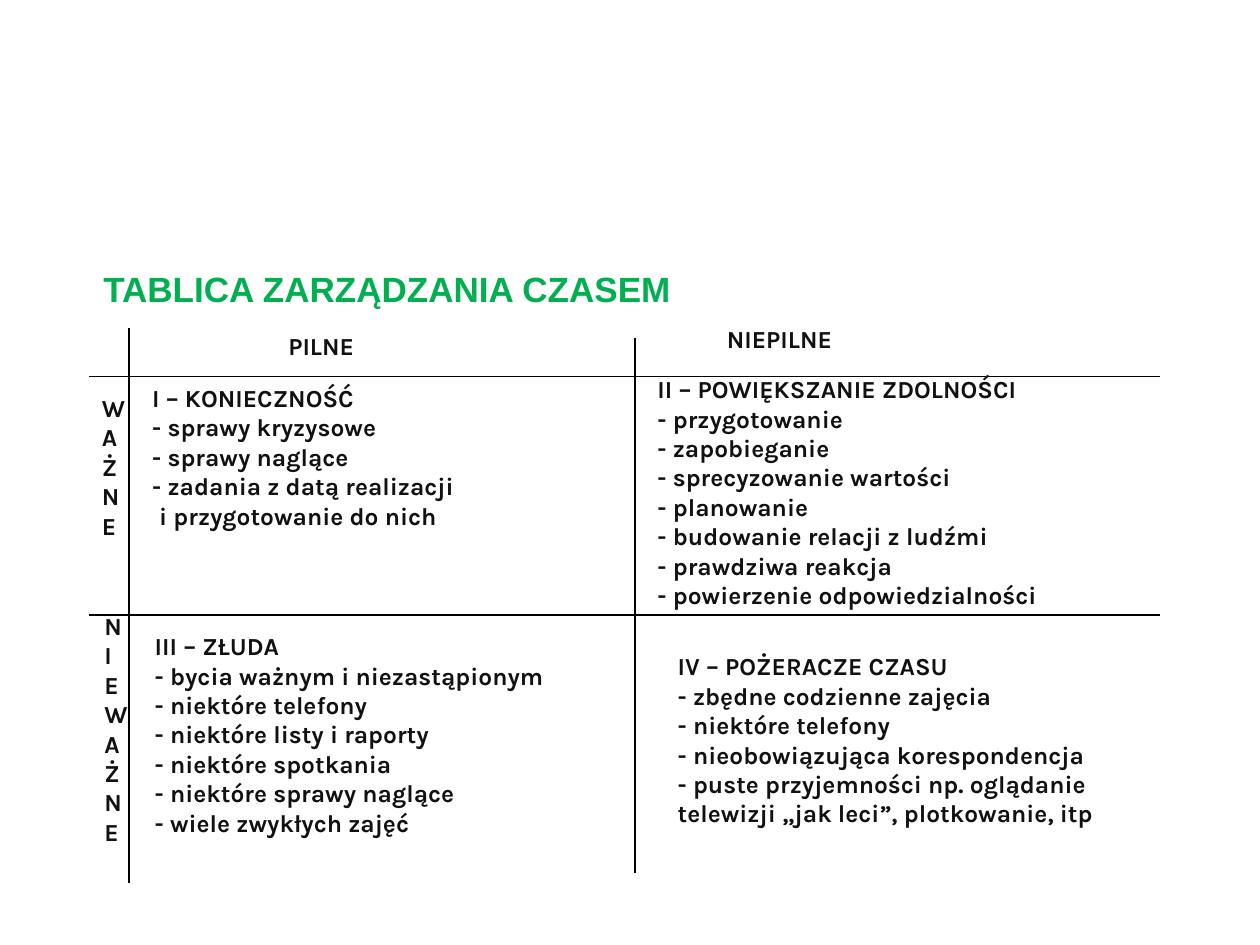
from dataclasses import dataclass

from lxml.etree import SubElement
from pptx import Presentation
from pptx.dml.color import RGBColor
from pptx.enum.shapes import MSO_CONNECTOR as Link
from pptx.enum.text import MSO_ANCHOR as Anchor
from pptx.oxml.ns import qn
from pptx.util import Inches, Pt

WIDTH, HEIGHT = Inches(10), Inches(7.5)
COLS, ROWS = 100, 75
GREEN = RGBColor(0x00, 0xB0, 0x50)
INK = RGBColor(0x11, 0x11, 0x11)
BLACK = RGBColor(0x00, 0x00, 0x00)


@dataclass
class Block:
    """Text box placed in grid columns and rows."""
    col: float
    row: float
    wide: float
    high: float
    text: str
    font: str = "Karla"
    size: int = 14
    color: RGBColor = INK
    pad: tuple[float, float] = (1, 0.5)
    wrap: bool = False


@dataclass
class Rule:
    """Line between two grid points."""
    col: float
    row: float
    end_col: float
    end_row: float


def across(cols: float) -> int:
    return round(WIDTH * cols / COLS)


def down(rows: float) -> int:
    return round(HEIGHT * rows / ROWS)


def draw_block(slide, block: Block):
    box = slide.shapes.add_textbox(across(block.col), down(block.row),
                                   across(block.wide), down(block.high))
    frame = box.text_frame
    frame.word_wrap = block.wrap
    frame.vertical_anchor = Anchor.TOP
    frame.margin_left = frame.margin_right = across(block.pad[0])
    frame.margin_top = frame.margin_bottom = down(block.pad[1])
    frame.text = block.text
    for para in frame.paragraphs:
        for run in para.runs:
            font = run.font
            font.name, font.size, font.bold = block.font, Pt(block.size), True
            font.color.rgb = block.color
    return frame


def draw_rule(slide, rule: Rule) -> None:
    line = slide.shapes.add_connector(
        Link.STRAIGHT, across(rule.col), down(rule.row),
        across(rule.end_col), down(rule.end_row))
    line.line.color.rgb = BLACK
    line.line.width = Pt(0.75)
    SubElement(line._element.spPr, qn("a:effectLst"))


def indent(para, cols: float) -> None:
    para._p.get_or_add_pPr().set("marL", str(across(cols)))


TITLE = Block(8.2, 21.2, 82.8, 46.5, "TABLICA ZARZĄDZANIA CZASEM",
              "Arial", 20, GREEN, (0, 0.3), True)

RULES = [
    Rule(50.4, 26.8, 50.4, 69.3),
    Rule(7.1, 48.8, 92.1, 48.8),
    Rule(7.1, 29.9, 92.1, 29.9),
    Rule(10.25, 26, 10.25, 70.1),
]

HEADS = [
    Block(21.9, 25.8, 8, 3.3, "PILNE"),
    Block(56.7, 25.2, 11.7, 3.3, "NIEPILNE"),
    Block(7.1, 30.7, 4, 12.6, "\n".join("WAŻNE")),
    Block(7.3, 48, 4, 19.6, "\n".join("NIEWAŻNE")),
]

NEED = Block(11.1, 29.9, 26.9, 12.6, """I – KONIECZNOŚĆ
- sprawy kryzysowe
- sprawy naglące
- zadania z datą realizacji
i przygotowanie do nich""")

FIELDS = [
    Block(51.2, 29.2, 34.3, 19.6, """II – POWIĘKSZANIE ZDOLNOŚCI
- przygotowanie
- zapobieganie
- sprecyzowanie wartości
- planowanie
- budowanie relacji z ludźmi
- prawdziwa reakcja
- powierzenie odpowiedzialności"""),
    Block(11.3, 49.6, 34.4, 17.3, """III – ZŁUDA
- bycia ważnym i niezastąpionym
- niektóre telefony
- niektóre listy i raporty
- niektóre spotkania
- niektóre sprawy naglące
- wiele zwykłych zajęć"""),
    Block(52.8, 51.2, 36.8, 15, """IV – POŻERACZE CZASU
- zbędne codzienne zajęcia
- niektóre telefony
- nieobowiązująca korespondencja
- puste przyjemności np. oglądanie
telewizji „jak leci”, plotkowanie, itp"""),
]


def main() -> None:
    deck = Presentation()
    deck.slide_width, deck.slide_height = WIDTH, HEIGHT
    slide = deck.slides.add_slide(deck.slide_layouts[6])

    title = draw_block(slide, TITLE)
    title.paragraphs[0].line_spacing = 0.93
    for rule in RULES:
        draw_rule(slide, rule)
    for head in HEADS:
        draw_block(slide, head)
    need = draw_block(slide, NEED)
    indent(need.paragraphs[-1], 0.55)
    for field in FIELDS:
        draw_block(slide, field)

    deck.save("out.pptx")


if __name__ == "__main__":
    main()
